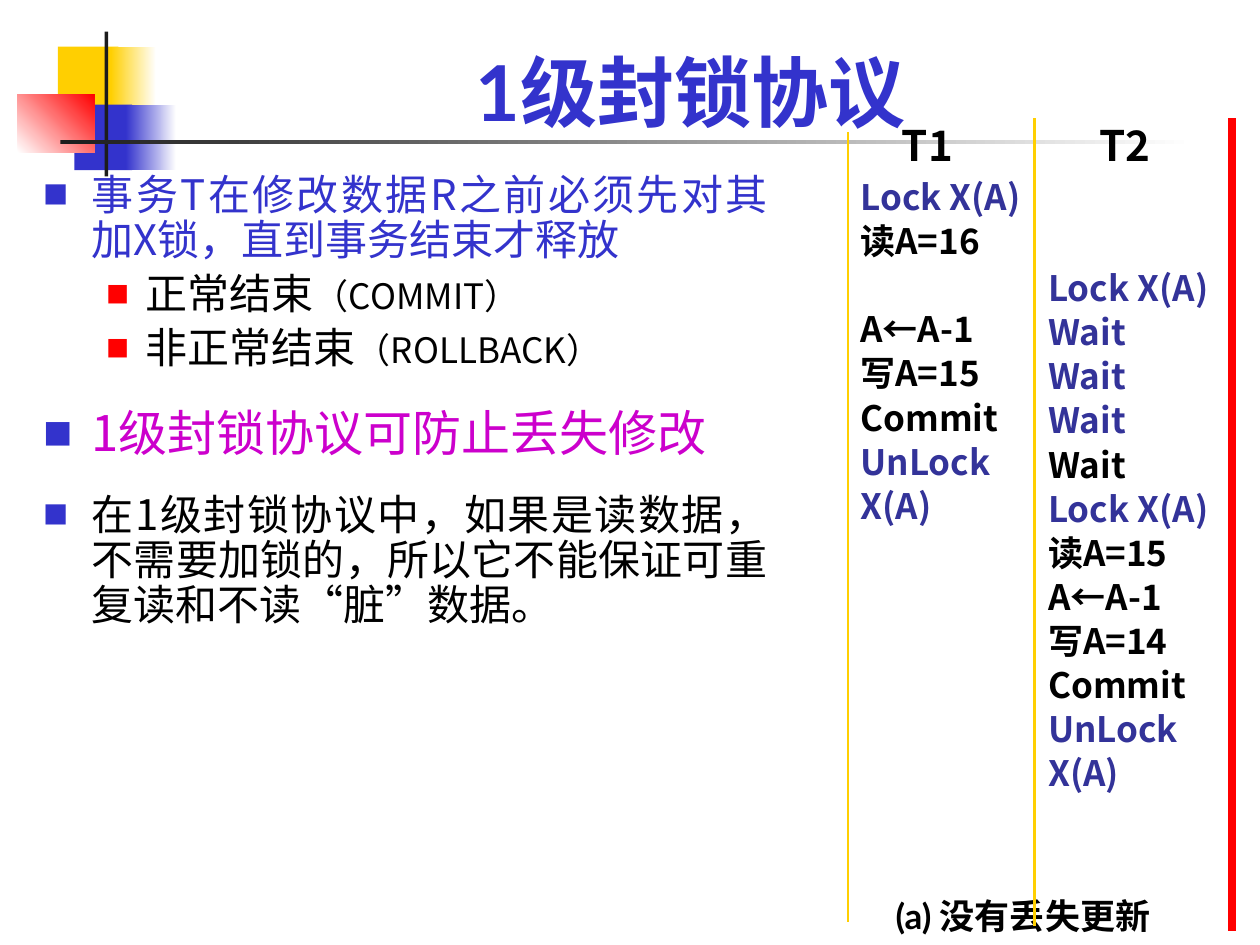
"""Builds the slide on the level 1 locking protocol."""
from lxml import etree
from pptx import Presentation
from pptx.dml.color import RGBColor
from pptx.enum import shapes, text
from pptx.oxml import ns
from pptx.util import Inches, Pt

BLACK = RGBColor(0x00, 0x00, 0x00)
WHITE = RGBColor(0xFF, 0xFF, 0xFF)
CHARCOAL = RGBColor(0x1C, 0x1C, 0x1C)
YELLOW = RGBColor(0xFF, 0xCF, 0x01)
RED = RGBColor(0xFF, 0x00, 0x00)
BLUE = RGBColor(0x33, 0x33, 0xCC)
NAVY = RGBColor(0x33, 0x33, 0x99)
MAGENTA = RGBColor(0xCC, 0x00, 0xCC)
LATO = "Lato"
NOTO = "Noto Sans CJK SC"


def add_box(s, x, y, w, h, wrap=True):
    tf = s.shapes.add_textbox(Inches(x), Inches(y), Inches(w), Inches(h)).text_frame
    tf.word_wrap = wrap
    return tf


def add_run(p, words, size, color, font=NOTO, bold=False):
    r = p.add_run()
    r.text = words
    r.font.size = Pt(size)
    r.font.bold = bold
    r.font.color.rgb = color
    r.font.name = font
    etree.SubElement(r.font._element, ns.qn("a:ea"), typeface=font)


prs = Presentation()
prs.slide_width, prs.slide_height = Inches(10), Inches(7.5)
s = prs.slides.add_slide(prs.slide_layouts[6])

for x, y, w, h, start, end, angle in [
    (0.46, 0.37, 0.48, 0.52, YELLOW, None, 0),
    (0.88, 0.37, 0.36, 0.52, YELLOW, WHITE, 0),
    (0.59, 0.83, 0.46, 0.52, BLUE, None, 0),
    (1, 0.83, 0.4, 0.52, BLUE, WHITE, 0),
    (0.14, 0.75, 0.61, 0.46, WHITE, RED, 45),
    (0.83, 0.25, 0.03, 1.15, CHARCOAL, None, 0),
    (0.48, 1.11, 9, 0.03, CHARCOAL, WHITE, 0),
]:
    sp = s.shapes.add_shape(
        shapes.MSO_SHAPE.RECTANGLE, Inches(x), Inches(y), Inches(w), Inches(h))
    sp.shadow.inherit = False
    sp.line.fill.background()
    if end is None:
        sp.fill.solid()
        sp.fill.fore_color.rgb = start
    else:
        sp.fill.gradient()
        sp.fill.gradient_angle = angle
        for stop, color in zip(sp.fill.gradient_stops, (start, end)):
            stop.color.rgb = color
        sp.fill.gradient_stops[0].position = 0
        sp.fill.gradient_stops[1].position = 1

tf = add_box(s, 1.22, 0.21, 8.52, 0.93)
tf.vertical_anchor = text.MSO_ANCHOR.BOTTOM
p = tf.paragraphs[0]
p.alignment = text.PP_ALIGN.CENTER
add_run(p, "1级封锁协议", 44, BLUE, LATO, True)

tf = add_box(s, 0.25, 1.33, 5.94, 5.75)
for i, (level, before, runs) in enumerate([
    (0, 0, [("事务T在修改数据R之前必须先对其加X锁，直到事务结束才释放", 24, BLUE)]),
    (1, 5, [("正常结束", 24, BLACK), ("（COMMIT）", 20, BLACK)]),
    (1, 5, [("非正常结束", 24, BLACK), ("（ROLLBACK）", 20, BLACK)]),
    (0, 21, [("1级封锁协议可防止丢失修改", 28, MAGENTA)]),
    (0, 18, [("在1级封锁协议中，如果是读数据，不需要加锁的，"
              "所以它不能保证可重复读和不读“脏”数据。", 24, BLACK)]),
]):
    p = tf.add_paragraph() if i else tf.paragraphs[0]
    margin, indent, color, percent = [
        (0.38, -0.38, BLUE, 60), (0.81, -0.31, RED, 55)][level]
    pPr = p._p.get_or_add_pPr()
    pPr.set("marL", str(Inches(margin)))
    pPr.set("indent", str(Inches(indent)))
    buClr = etree.SubElement(pPr, ns.qn("a:buClr"))
    etree.SubElement(buClr, ns.qn("a:srgbClr"), val=str(color))
    etree.SubElement(pPr, ns.qn("a:buSzPct"), val=str(percent * 1000))
    etree.SubElement(pPr, ns.qn("a:buFont"), typeface=NOTO)
    etree.SubElement(pPr, ns.qn("a:buChar"), char="■")
    p.level = level
    p.alignment = text.PP_ALIGN.JUSTIFY
    p.line_spacing = 0.9
    if before:
        p.space_before = Pt(before)
    for words, size, color in runs:
        add_run(p, words, size, color)

for x, y, w, h, steps in [
    (6.73, 1.33, 1.49, 3.01, [
        ("Lock X(A)", NAVY, 0), ("读A=16", BLACK, 0), ("A←A-1", BLACK, 25),
        ("写A=15", BLACK, 0), ("Commit", BLACK, 0), ("UnLock X(A)", NAVY, 0)]),
    (8.22, 2.05, 1.58, 4.42, [
        ("Lock X(A)", NAVY, 0), *[("Wait", NAVY, 0)] * 3, ("Wait", BLACK, 0),
        ("Lock X(A)", NAVY, 0), ("读A=15", BLACK, 0), ("A←A-1", BLACK, 0),
        ("写A=14", BLACK, 0), ("Commit", BLACK, 0), ("UnLock X(A)", NAVY, 0)]),
]:
    tf = add_box(s, x, y, w, h)
    for i, (words, color, before) in enumerate(steps):
        p = tf.add_paragraph() if i else tf.paragraphs[0]
        p.line_spacing = 1.05
        if before:
            p.space_before = Pt(before)
        add_run(p, words, 20, color, bold=True)

for words, x, w in [("T2", 8.23, 1.4), ("T1", 6.49, 1.74)]:
    p = add_box(s, x, 0.9, w, 0.54).paragraphs[0]
    p.alignment = text.PP_ALIGN.CENTER
    add_run(p, words, 24, BLACK, bold=True)

tf = add_box(s, 7.01, 7.05, 2.36, 0.44, wrap=False)
tf.auto_size = text.MSO_AUTO_SIZE.SHAPE_TO_FIT_TEXT
add_run(tf.paragraphs[0], "(a) 没有丢失更新", 20, BLACK, LATO, True)

for x, top, bottom, color, width in [
    (8.21, 0.94, 7.35, YELLOW, 1.5),
    (9.78, 0.94, 7.39, RED, 4.5),
    (6.73, 1.05, 7.32, YELLOW, 1.5),
]:
    line = s.shapes.add_connector(
        shapes.MSO_CONNECTOR.STRAIGHT, Inches(x), Inches(top), Inches(x), Inches(bottom))
    line.line.color.rgb = color
    line.line.width = Pt(width)
    etree.SubElement(line._element.spPr, ns.qn("a:effectLst"))

prs.save("out.pptx")
